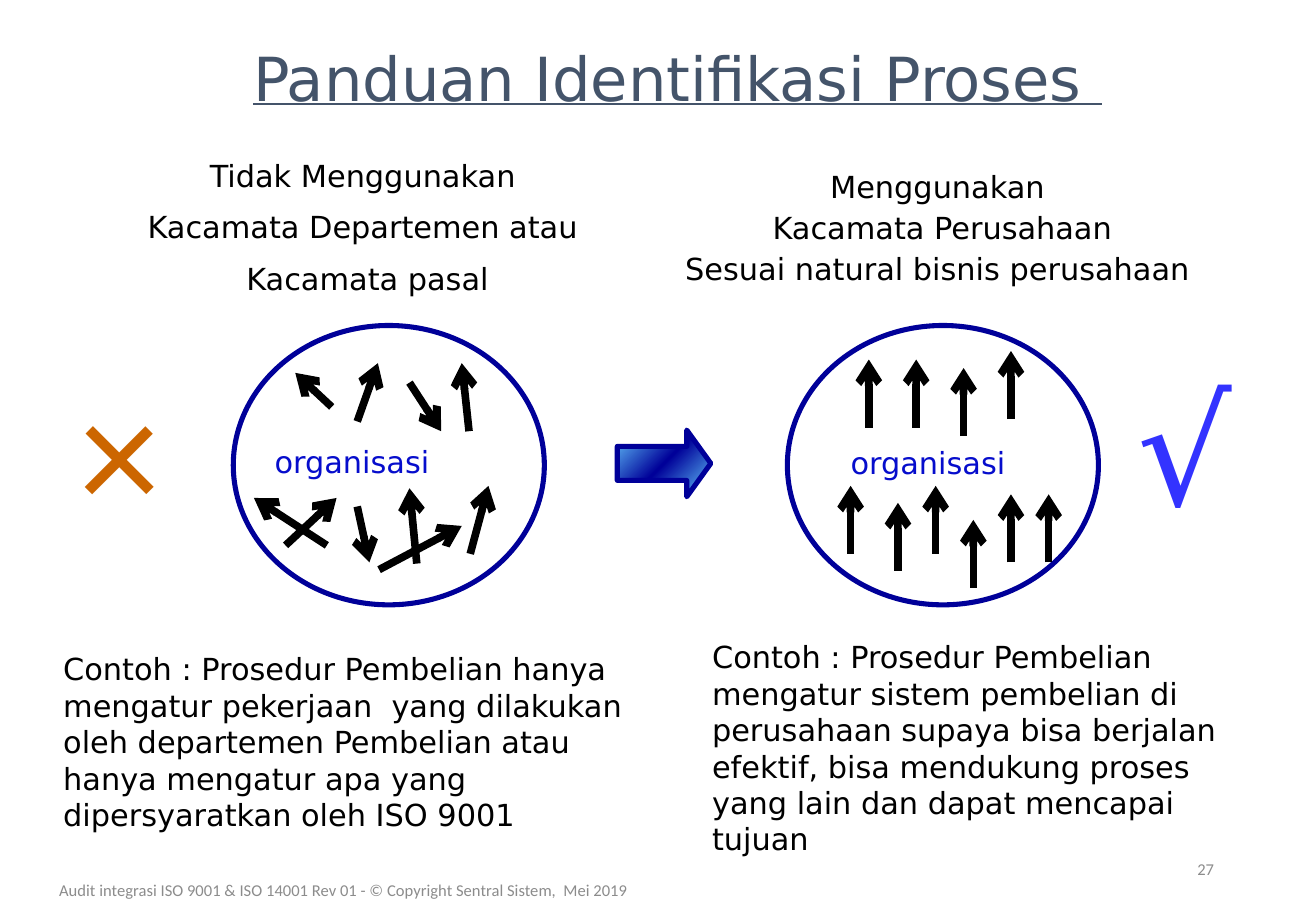
from copy import deepcopy
from dataclasses import dataclass

from lxml.etree import SubElement
from pptx import Presentation
from pptx.dml.color import RGBColor
from pptx.enum.shapes import MSO_CONNECTOR, MSO_SHAPE
from pptx.enum.text import MSO_ANCHOR, MSO_AUTO_SIZE, PP_ALIGN
from pptx.oxml.ns import qn
from pptx.util import Inches, Pt


@dataclass(frozen=True)
class Theme:
    text: str = "000000"
    title: str = "44546A"
    label: str = "060DCC"
    navy: str = "000099"
    sky: str = "66CCFF"
    white: str = "FFFFFF"
    wrong: str = "CC6600"
    right: str = "3333FF"
    grey: str = "8C8C8C"
    sans: str = "DejaVu Sans"
    small: str = "Calibri"
    sign: str = "Noto Sans"
    head: float = 36
    body: float = 18
    cross: float = 96
    root: float = 88
    note: float = 9.8
    rim: float = 3
    stroke: float = 4.5


T = Theme()

# Content: boxes are left, top, width, height in inches
TITLE = "Panduan Identifikasi Proses "
TITLE_BOX = (1.43, 0.08, 8.29, 1.11)
LABEL = "organisasi"

# Heading lines, their box and line spacing per line
HEADS = [
    (["Tidak Menggunakan ", "Kacamata Departemen atau ", "Kacamata pasal"],
     (0.8, 1.33, 4.45, 1.22), (0.7, 1, 1)),
    (["Menggunakan ", "Kacamata Perusahaan", "Sesuai natural bisnis perusahaan "],
     (5.51, 1.42, 4.49, 1.04), (0.7, 0.7, 0.7)),
]
CASES = [
    ("Contoh : Prosedur Pembelian hanya mengatur pekerjaan  yang dilakukan oleh "
     "departemen Pembelian atau hanya mengatur apa yang dipersyaratkan oleh ISO 9001",
     (0.42, 5.58, 5.13, 1.05)),
    ("Contoh : Prosedur Pembelian mengatur sistem pembelian di perusahaan supaya "
     "bisa berjalan efektif, bisa mendukung proses yang lain dan dapat mencapai tujuan",
     (5.76, 5.17, 4.74, 1.97)),
]
SIGNS = [
    ("×", 0.56, T.cross, T.small, T.wrong),
    ("√", 9.26, T.root, T.sign, T.right),
]
NOTES = [
    ("27", (7.65, 6.95, 2.44, 0.4), PP_ALIGN.RIGHT),
    ("Audit integrasi ISO 9001 & ISO 14001 Rev 01 - © Copyright Sentral Sistem,  Mei 2019",
     (0.2, 7.15, 5.25, 0.4 - 0.05), PP_ALIGN.CENTER),
]

# Arrows as x1, y1, x2, y2
MIXED = [
    (3.37, 3.15, 3.63, 3.55), (3.86, 3.55, 3.8, 2.99), (2.73, 3.35, 2.43, 3.07),
    (2.94, 3.47, 3.11, 2.99), (2.69, 4.49, 2.09, 4.1), (2.35, 4.49, 2.77, 4.1),
    (2.94, 4.17, 3.04, 4.63), (3.12, 4.69, 3.8, 4.33), (3.43, 4.64, 3.37, 4.02),
    (3.87, 4.56, 4.02, 4),
]
# Aligned arrows share one length, so only the foot is listed
RISE = 0.56
FEET = [
    (7.15, 3.52), (7.54, 3.52), (7.93, 3.59), (8.32, 3.45), (7, 4.56), (7.39, 4.7),
    (7.7, 4.56), (8.01, 4.84), (8.32, 4.63), (8.63, 4.63),
]
ALIGNED = [(x, y, x, y - RISE) for x, y in FEET]

# Oval left edge, label box, arrows
GROUPS = [
    (1.92, (2.26, 3.65, 1.61, 0.33), MIXED),
    (6.48, (7, 3.66, 1.75, 0.33), ALIGNED),
]

deck = Presentation()
deck.slide_width, deck.slide_height = Inches(10.83), Inches(7.5)
slide = deck.slides.add_slide(deck.slide_layouts[3])
shapes = slide.shapes


def rgb(tone):
    return RGBColor.from_string(tone)


def place(shape, box):
    shape.left, shape.top, shape.width, shape.height = map(Inches, box)


def write(shape, lines, size, face, tone, align=PP_ALIGN.LEFT, anchor=MSO_ANCHOR.MIDDLE):
    frame = shape.text_frame
    frame.word_wrap = True
    frame.auto_size = MSO_AUTO_SIZE.NONE
    frame.vertical_anchor = anchor
    frame.text = "\n".join(lines)
    for par in frame.paragraphs:
        par.alignment = align
        par.space_before = Pt(0)
        par.font.size, par.font.name = Pt(size), face
        par.font.color.rgb = rgb(tone)
    return frame


def add_text(box, *args, **kw):
    return write(shapes.add_textbox(*map(Inches, box)), *args, **kw)


def add_form(kind, box):
    form = shapes.add_shape(kind, *map(Inches, box))
    form.shadow.inherit = False
    return form


def outline(form):
    form.line.color.rgb = rgb(T.navy)
    form.line.width = Pt(T.rim)


def add_arrow(ends):
    arrow = shapes.add_connector(MSO_CONNECTOR.STRAIGHT, *map(Inches, ends))
    arrow.line.color.rgb = rgb(T.text)
    arrow.line.width = Pt(T.stroke)
    SubElement(arrow.line._get_or_add_ln(), qn("a:tailEnd"), type="arrow")
    SubElement(arrow._element.spPr, qn("a:effectLst"))


# Title and example texts
title, *bodies = slide.placeholders
place(title, TITLE_BOX)
write(title, [TITLE], T.head, T.sans, T.title, PP_ALIGN.CENTER)
title.text_frame.paragraphs[0].font.underline = True
for body, (text, box) in zip(bodies, CASES):
    place(body, box)
    frame = write(body, [text], T.body, T.sans, T.text)
    props = frame.paragraphs[0]._p.get_or_add_pPr()
    props.set("marL", "0")
    props.set("indent", "0")
    bullet = props.makeelement(qn("a:buNone"), {})
    props.find(qn("a:defRPr")).addprevious(bullet)

# Headings
for lines, box, gaps in HEADS:
    frame = add_text(box, lines, T.body, T.sans, T.text, PP_ALIGN.CENTER, MSO_ANCHOR.TOP)
    for i, (par, gap) in enumerate(zip(frame.paragraphs, gaps)):
        par.line_spacing = gap
        par.space_before = Pt(T.body / 2 if i else 0)

# Organisations with their arrows
for left, box, arrows in GROUPS:
    oval = add_form(MSO_SHAPE.OVAL, (left, 2.68, 2.56, 2.3))
    oval.fill.background()
    outline(oval)
    label = add_form(MSO_SHAPE.RECTANGLE, box)
    label.fill.solid()
    label.fill.fore_color.rgb = rgb(T.white)
    label.line.fill.background()
    frame = write(label, [LABEL], T.body, T.sans, T.label, anchor=MSO_ANCHOR.TOP)
    frame.margin_left = frame.margin_right = frame.margin_top = frame.margin_bottom = 0
    for ends in arrows:
        add_arrow(ends)

# Block arrow between the two
block = add_form(MSO_SHAPE.RIGHT_ARROW, (5.08, 3.54, 0.77, 0.55))
block.adjustments[0], block.adjustments[1] = 0.51, 0.36
outline(block)
block.fill.gradient()
block.fill.gradient_angle = 315
first = block.fill.gradient_stops[0]._gs
first.addnext(deepcopy(first))
for stop, spot, tone in zip(block.fill.gradient_stops, (0, 0.5, 1), (T.sky, T.navy, T.sky)):
    stop.position = spot
    stop.color.rgb = rgb(tone)

# Wrong and right signs
for sign, left, size, face, tone in SIGNS:
    add_text((left, 3.15, 1.19, 1.05), [sign], size, face, tone)

# Page number and footer
for text, box, align in NOTES:
    add_text(box, [text], T.note, T.small, T.grey, align)

deck.save("out.pptx")
